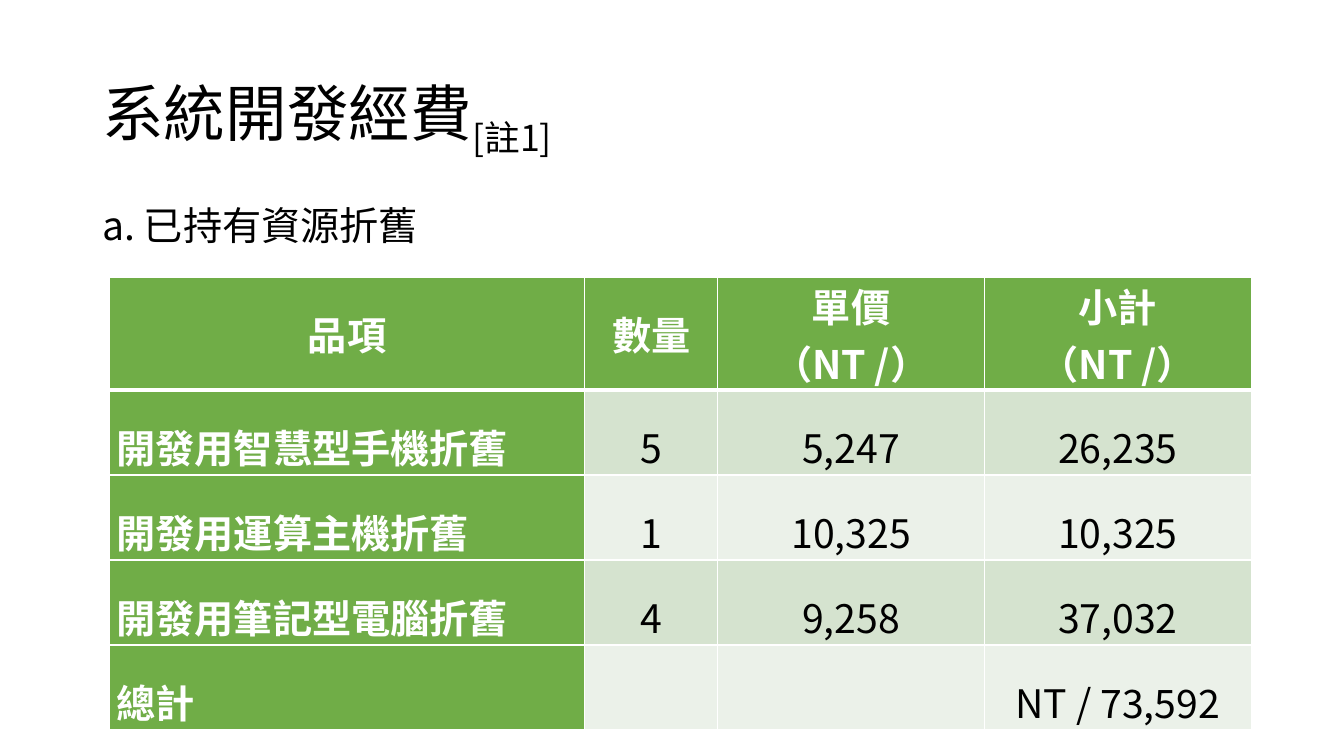
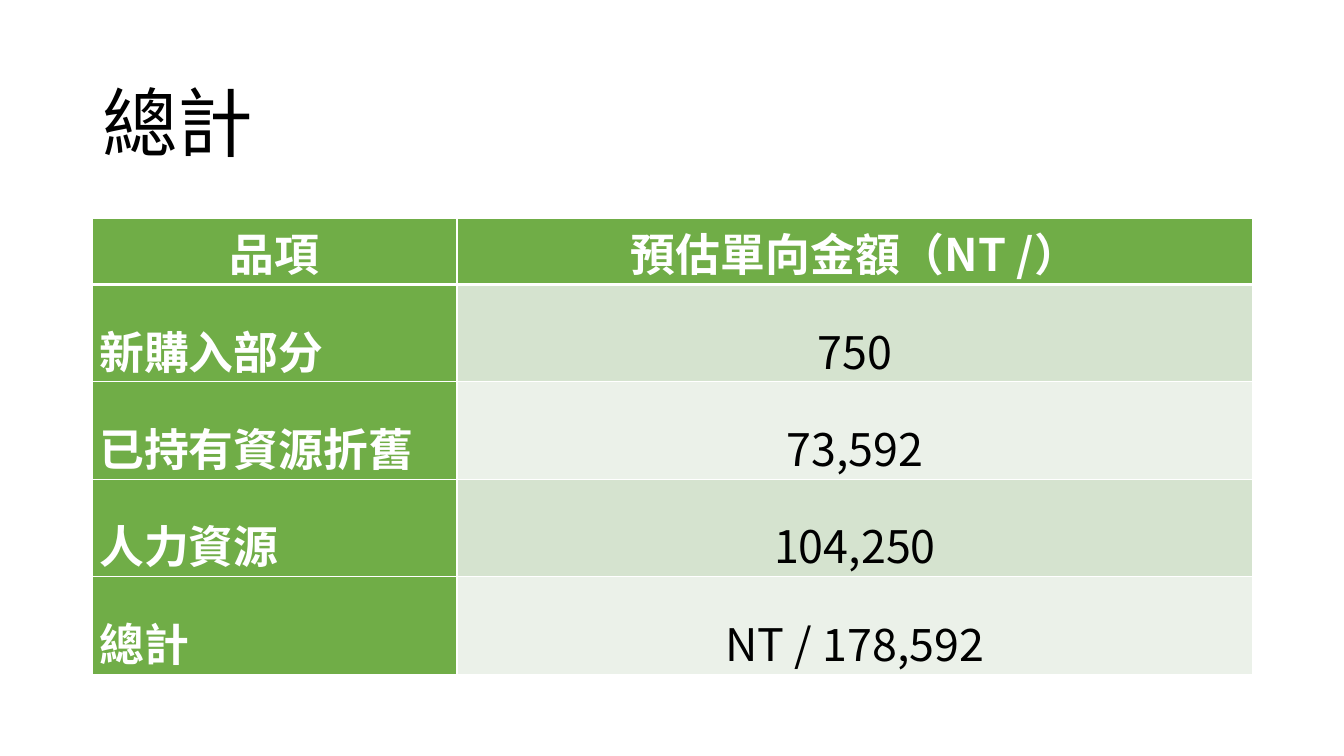
import pptx
import pptx.dml.color
import pptx.enum.text
import pptx.oxml.ns
import pptx.util
from lxml import etree

Pt = pptx.util.Pt
Align = pptx.enum.text.PP_ALIGN
Anchor = pptx.enum.text.MSO_ANCHOR
FONT = "Noto Sans CJK SC"
GREEN, WHITE, BLACK = "70AD47", "FFFFFF", "000000"
BANDS = ("D5E3CF", "EBF1E9")
CONTENT_LEFT, CONTENT_WIDTH = 66, 828
TITLE_HEIGHT = 104.4


def color(value):
    return pptx.dml.color.RGBColor.from_string(value)


def add_child(parent, tag, **attributes):
    return etree.SubElement(parent, pptx.oxml.ns.qn(tag), **attributes)


def write_text(paragraph, text, size, fill=BLACK, bold=False, align=None, spacing=None, baseline=None):
    if align is not None:
        paragraph.alignment = align
    if spacing is not None:
        paragraph.line_spacing = spacing
    for index, line in enumerate(text.split("\n")):
        if index:
            paragraph.add_line_break()
        run = paragraph.add_run()
        run.text = line
        run.font.size = Pt(size)
        run.font.bold = bold
        run.font.name = FONT
        run.font.color.rgb = color(fill)
        properties = run._r.get_or_add_rPr()
        add_child(properties, "a:ea", typeface=FONT)
        if baseline is not None:
            properties.set("baseline", str(baseline * 1000))


def add_text_box(slide, left, top, width, height, anchor):
    frame = slide.shapes.add_textbox(Pt(left), Pt(top), Pt(width), Pt(height)).text_frame
    frame.word_wrap = True
    frame.vertical_anchor = anchor
    return frame.paragraphs[0]


def add_title(slide, top, text, size, note=None):
    paragraph = add_text_box(slide, CONTENT_LEFT, top, CONTENT_WIDTH, TITLE_HEIGHT, Anchor.MIDDLE)
    write_text(paragraph, text, size, spacing=0.9)
    if note:
        write_text(paragraph, note, size, baseline=-25)


def add_subtitle(slide, top, text):
    paragraph = add_text_box(slide, CONTENT_LEFT, top, CONTENT_WIDTH, 44, Anchor.TOP)
    write_text(paragraph, text, 28, spacing=0.9)


def set_borders(cell, top, bottom):
    properties = cell._tc.get_or_add_tcPr()
    widths = {"a:lnL": 1, "a:lnR": 1, "a:lnT": top, "a:lnB": bottom}
    for index, (tag, width) in enumerate(widths.items()):
        line = etree.Element(pptx.oxml.ns.qn(tag), w=str(Pt(width)))
        add_child(add_child(line, "a:solidFill"), "a:srgbClr", val=WHITE)
        properties.insert(index, line)


def add_cost_table(slide, left, top, column_widths, header_height, row_height, size, rows):
    heights = [header_height] + [row_height] * (len(rows) - 1)
    table = slide.shapes.add_table(
        len(rows), len(column_widths), Pt(left), Pt(top), Pt(sum(column_widths)), Pt(sum(heights))
    ).table
    for column, width in zip(table.columns, column_widths):
        column.width = Pt(width)
    for row_index, values in enumerate(rows):
        table.rows[row_index].height = Pt(heights[row_index])
        for column_index, text in enumerate(values):
            cell = table.cell(row_index, column_index)
            is_header = row_index == 0
            is_label = is_header or column_index == 0
            cell.fill.solid()
            cell.fill.fore_color.rgb = color(GREEN if is_label else BANDS[(row_index - 1) % 2])
            cell.margin_left = cell.margin_right = Pt(5)
            cell.margin_top = cell.margin_bottom = 0
            cell.vertical_anchor = Anchor.MIDDLE
            set_borders(cell, 3 if row_index == 1 else 1, 3 if is_header else 1)
            if text:
                write_text(
                    cell.text_frame.paragraphs[0], text, size,
                    fill=WHITE if is_label else BLACK,
                    bold=is_label,
                    align=Align.JUSTIFY if is_label and not is_header else Align.CENTER,
                    spacing=None if is_header else 1.5,
                )


def add_blank_slide(presentation):
    return presentation.slides.add_slide(presentation.slide_layouts[6])


def build_depreciation(presentation):
    slide = add_blank_slide(presentation)
    add_title(slide, 28.8, "系統開發經費", 44, note="[註1]")
    add_subtitle(slide, 144, "a. 已持有資源折舊")
    add_cost_table(slide, 78.2, 198, [339.5, 95, 190.5, 190.5], 80.5, 60.75, 28, [
        ("品項", "數量", "單價\n（NT /）", "小計\n（NT /）"),
        ("開發用智慧型手機折舊", "5", "5,247", "26,235"),
        ("開發用運算主機折舊", "1", "10,325", "10,325"),
        ("開發用筆記型電腦折舊", "4", "9,258", "37,032"),
        ("總計", "", "", "NT / 73,592"),
    ])


def build_total(presentation):
    slide = add_blank_slide(presentation)
    add_title(slide, 38.2, "總計", 54)
    add_cost_table(slide, CONTENT_LEFT, 156.2, [260.5, 568.5], 47, 69.6, 32, [
        ("品項", "預估單向金額（NT /）"),
        ("新購入部分", "750"),
        ("已持有資源折舊", "73,592"),
        ("人力資源", "104,250"),
        ("總計", "NT / 178,592"),
    ])


def main():
    presentation = pptx.Presentation()
    presentation.slide_width = Pt(960)
    presentation.slide_height = Pt(540)
    build_depreciation(presentation)
    build_total(presentation)
    presentation.save("out.pptx")


if __name__ == "__main__":
    main()
